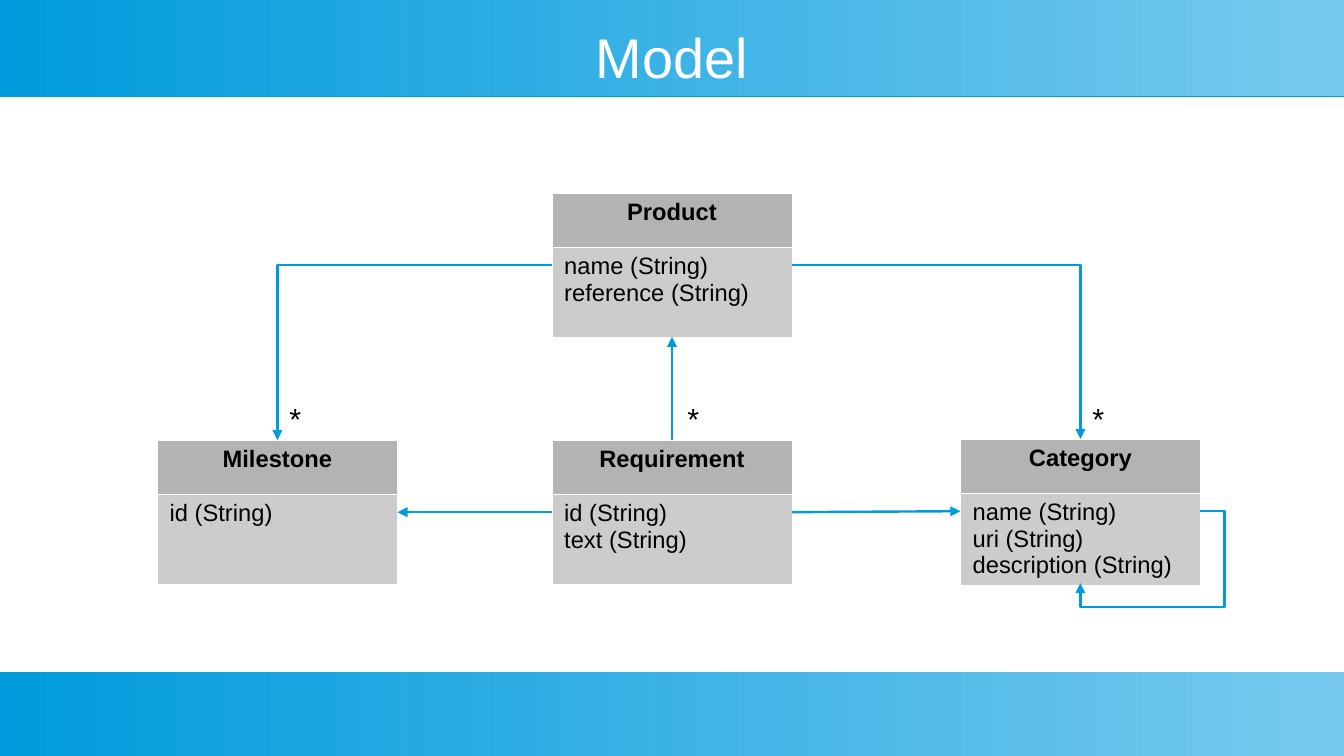
"""Build the Model slide: four class boxes linked by arrows."""
from dataclasses import dataclass

import lxml.etree
import pptx
import pptx.dml.color
import pptx.enum.dml
import pptx.enum.shapes
import pptx.enum.text
import pptx.oxml.ns
import pptx.util

Cm = pptx.util.Cm
Pt = pptx.util.Pt
qn = pptx.oxml.ns.qn
Align = pptx.enum.text.PP_ALIGN
TOP, LEFT, BOTTOM, RIGHT = range(4)

SLIDE_SIZE = (28, 15.75)
TITLE = "Model"
TITLE_BOX = (1, 0.5, 26, 1.32)
BANDS = [(0, 2), (14, 1.75)]
CLASS_WIDTH = 5
ROW_HEIGHTS = (1.12, 1.88)
CLASSES = {
    "Product": (11.5, 4.02, ["name (String)", "reference (String)"]),
    "Category": (20.01, 9.15, ["name (String)", "uri (String)", "description (String)"]),
    "Milestone": (3.28, 9.17, ["id (String)"]),
    "Requirement": (11.5, 9.17, ["id (String)", "text (String)"]),
}
STRAIGHT_LINKS = [
    ("Requirement", TOP, "Product", BOTTOM),
    ("Requirement", LEFT, "Milestone", RIGHT),
    ("Requirement", RIGHT, "Category", LEFT),
]
BENT_LINKS = [
    ("Category", RIGHT, "Category", BOTTOM, "bentConnector4", (-20100, 133100)),
    ("Product", LEFT, "Milestone", TOP, "bentConnector2", ()),
    ("Product", RIGHT, "Category", TOP, "bentConnector2", ()),
]
MANY = "*"
MANY_TOP = 8.2
MANY_SIZE = (0.74, 0.97)
MANY_OFFSETS = {"Category": 0, "Milestone": 0, "Requirement": 0.07}


@dataclass(frozen=True)
class Theme:
    font: str = "Arial"
    blue: str = "009BDD"
    pale_blue: str = "77CAEE"
    head_grey: str = "B3B3B3"
    body_grey: str = "CCCCCC"
    white: str = "FFFFFF"
    black: str = "000000"
    title_size: float = 33
    class_size: float = 14
    many_size: float = 18
    arrow_width: float = 1.42
    border_width: float = 0.06


THEME = Theme()


def rgb(value):
    return pptx.dml.color.RGBColor.from_string(value)


def add_xml(parent, tag, **attributes):
    return lxml.etree.SubElement(parent, qn(tag), attributes)


def write(frame, lines, size, color=THEME.black, bold=False, align=Align.LEFT):
    for index, line in enumerate(lines):
        paragraph = frame.add_paragraph() if index else frame.paragraphs[0]
        paragraph.alignment = align
        run = paragraph.add_run()
        run.text = line
        run.font.name = THEME.font
        run.font.size = Pt(size)
        run.font.bold = bold
        run.font.color.rgb = rgb(color)


def add_band(slide, top, height):
    band = slide.shapes.add_shape(
        pptx.enum.shapes.MSO_SHAPE.RECTANGLE, 0, Cm(top), Cm(SLIDE_SIZE[0]), Cm(height))
    band.fill.gradient()
    band.fill.gradient_angle = 0
    for stop, color in zip(band.fill.gradient_stops, (THEME.blue, THEME.pale_blue)):
        stop.color.rgb = rgb(color)
    band.line.fill.background()
    band.shadow.inherit = False
    effects = band.element.spPr.find(qn("a:effectLst"))
    shadow = add_xml(effects, "a:outerShdw", dist=str(Pt(0.9)), dir="5400000",
                     algn="tl", rotWithShape="0")
    add_xml(shadow, "a:srgbClr", val=THEME.blue)


def set_title(slide):
    title = slide.shapes.title
    title.left, title.top, title.width, title.height = map(Cm, TITLE_BOX)
    frame = title.text_frame
    frame.margin_left = frame.margin_right = frame.margin_top = frame.margin_bottom = 0
    frame.vertical_anchor = pptx.enum.text.MSO_ANCHOR.MIDDLE
    frame.auto_size = pptx.enum.text.MSO_AUTO_SIZE.NONE
    write(frame, [TITLE], THEME.title_size, color=THEME.white, align=Align.CENTER)
    title.element.getparent().append(title.element)


def format_cell(cell, fill):
    properties = cell._tc.get_or_add_tcPr()
    for side in ("a:lnL", "a:lnR", "a:lnT", "a:lnB"):
        border = add_xml(properties, side, w=str(Pt(THEME.border_width)))
        add_xml(add_xml(border, "a:solidFill"), "a:srgbClr", val=THEME.white)
    cell.fill.solid()
    cell.fill.fore_color.rgb = rgb(fill)


def add_class(slide, name, left, top, fields):
    box = slide.shapes.add_table(
        2, 1, Cm(left), Cm(top), Cm(CLASS_WIDTH), Cm(sum(ROW_HEIGHTS)))
    table = box.table
    table.first_row = table.horz_banding = False
    for row, height in zip(table.rows, ROW_HEIGHTS):
        row.height = Cm(height)
    head, body = table.cell(0, 0), table.cell(1, 0)
    format_cell(head, THEME.head_grey)
    format_cell(body, THEME.body_grey)
    write(head.text_frame, [name], THEME.class_size, bold=True, align=Align.CENTER)
    write(body.text_frame, fields, THEME.class_size)
    return box


def side_middle(box, side):
    across = {LEFT: 0, RIGHT: box.width}.get(side, box.width // 2)
    down = {TOP: 0, BOTTOM: box.height}.get(side, box.height // 2)
    return box.left + across, box.top + down


def add_arrow(slide, kind, source, source_side, target, target_side):
    arrow = slide.shapes.add_connector(
        kind, *side_middle(source, source_side), *side_middle(target, target_side))
    arrow.line.color.rgb = rgb(THEME.blue)
    arrow.line.width = Pt(THEME.arrow_width)
    add_xml(arrow.line._get_or_add_ln(), "a:tailEnd", type="triangle")
    add_xml(arrow.element.spPr, "a:effectLst")
    return arrow


def bend(arrow, preset, adjustments):
    geometry = arrow.element.spPr.find(qn("a:prstGeom"))
    geometry.set("prst", preset)
    guides = geometry.find(qn("a:avLst"))
    for number, value in enumerate(adjustments, 1):
        add_xml(guides, "a:gd", name=f"adj{number}", fmla=f"val {value}")


def add_many(slide, left):
    many = slide.shapes.add_textbox(Cm(left), Cm(MANY_TOP), *map(Cm, MANY_SIZE))
    many.text_frame.word_wrap = False
    write(many.text_frame, [MANY], THEME.many_size)


def main():
    deck = pptx.Presentation()
    deck.slide_width, deck.slide_height = map(Cm, SLIDE_SIZE)
    slide = deck.slides.add_slide(deck.slide_layouts[5])
    for top, height in BANDS:
        add_band(slide, top, height)
    set_title(slide)
    boxes = {name: add_class(slide, name, *content) for name, content in CLASSES.items()}
    connector = pptx.enum.shapes.MSO_CONNECTOR
    for source, source_side, target, target_side in STRAIGHT_LINKS:
        arrow = add_arrow(slide, connector.STRAIGHT, boxes[source], source_side,
                          boxes[target], target_side)
        arrow.begin_connect(boxes[source], source_side)
        arrow.end_connect(boxes[target], target_side)
    for source, source_side, target, target_side, preset, adjustments in BENT_LINKS:
        arrow = add_arrow(slide, connector.ELBOW, boxes[source], source_side,
                          boxes[target], target_side)
        bend(arrow, preset, adjustments)
    for name, offset in MANY_OFFSETS.items():
        add_many(slide, CLASSES[name][0] + CLASS_WIDTH / 2 + offset)
    deck.save("out.pptx")


if __name__ == "__main__":
    main()
